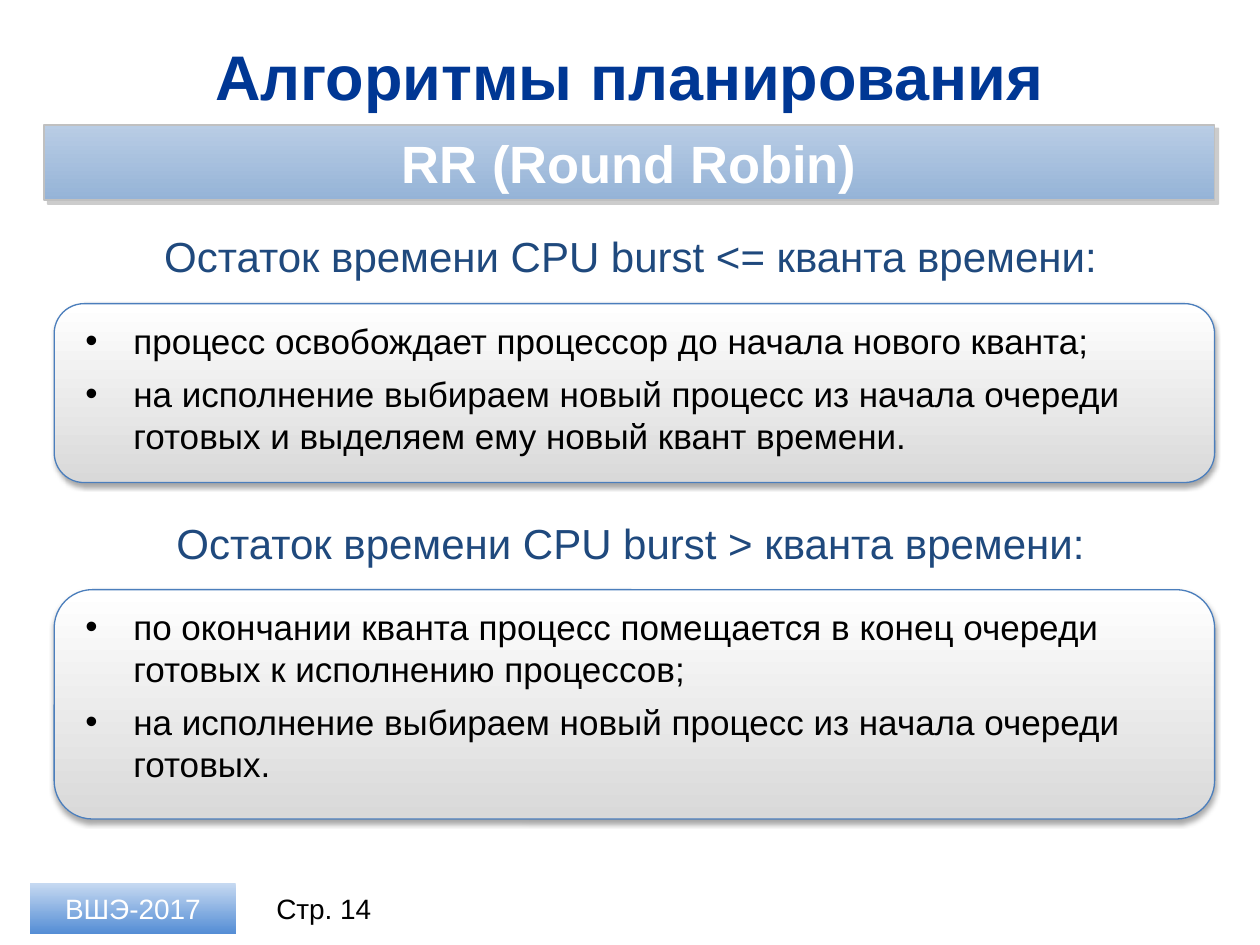
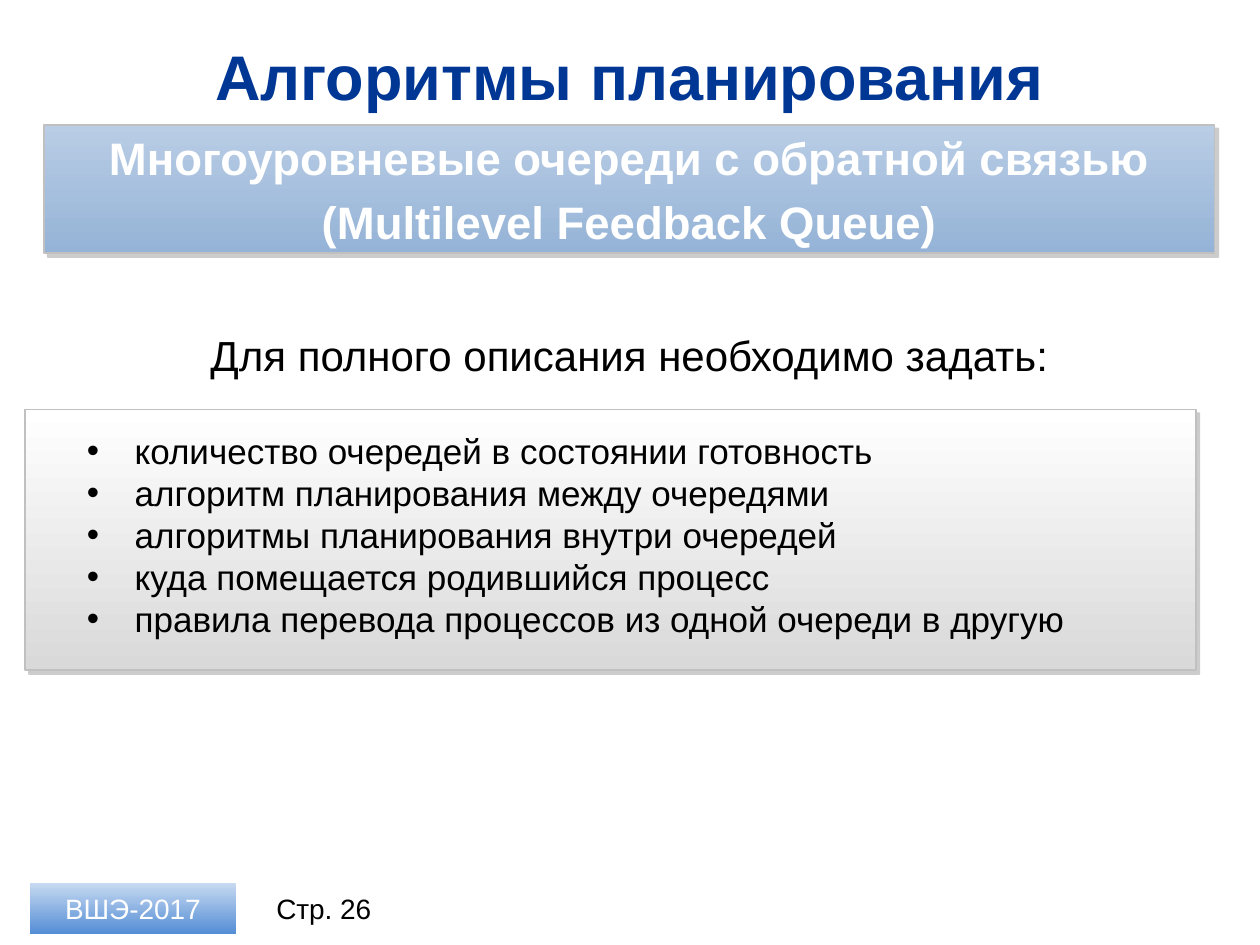
from lxml import etree
from pptx import Presentation
from pptx.dml.color import RGBColor
from pptx.enum.shapes import MSO_SHAPE
from pptx.enum.text import MSO_ANCHOR, PP_ALIGN
from pptx.oxml.ns import qn
from pptx.util import Inches, Pt

RECTANGLE, ROUNDED = MSO_SHAPE.RECTANGLE, MSO_SHAPE.ROUNDED_RECTANGLE
CENTER, LEFT = PP_ALIGN.CENTER, PP_ALIGN.LEFT
MIDDLE, TOP = MSO_ANCHOR.MIDDLE, MSO_ANCHOR.TOP

FONT = "Arial"
COLORS = {
    "title": "003794", "heading": "1F497D", "text": "000000", "white": "FFFFFF",
    "band_top": "B9CDE5", "band_bottom": "95B3D7",
    "footer_top": "C6D9F1", "footer_bottom": "558ED5",
    "panel_top": "FFFFFF", "panel_bottom": "D9D9D9",
    "gray_line": "C0C0C0", "blue_line": "4B7EBC",
    "hard_shadow": "808080", "soft_shadow": "000000",
}
# Gradient prefix, line colour and width, shadow (colour, opacity %, blur, distance, angle)
HARD_SHADOW = ("hard_shadow", 40, 0, 3, 45)
SOFT_SHADOW = ("soft_shadow", 35, 3.1, 1.8, 90)
STYLES = {
    "footer": ("footer", None, 0, None),
    "band": ("band", "gray_line", 1, HARD_SHADOW),
    "square": ("panel", "gray_line", 1, HARD_SHADOW),
    "round": ("panel", "blue_line", 0.75, SOFT_SHADOW),
}

presentation = Presentation()
presentation.slide_width, presentation.slide_height = Inches(10), Inches(7.5)
COLUMN = presentation.slide_width / 100
ROW = presentation.slide_height / 75


def add_box(slide, place, style=None, preset=RECTANGLE):
    """Add a styled gradient shape, or a plain text box without a style; place is in columns and rows."""
    left, top, width, height = place
    bounds = [round(length) for length in (left * COLUMN, top * ROW, width * COLUMN, height * ROW)]
    if style is None:
        return slide.shapes.add_textbox(*bounds)
    gradient, line_color, line_width, shadow = STYLES[style]
    shape = slide.shapes.add_shape(preset, *bounds)
    shape.fill.gradient()
    shape.fill.gradient_angle = 270
    for stop, edge in zip(shape.fill.gradient_stops, ("top", "bottom")):
        stop.color.rgb = RGBColor.from_string(COLORS[f"{gradient}_{edge}"])
    if line_color:
        shape.line.color.rgb = RGBColor.from_string(COLORS[line_color])
        shape.line.width = Pt(line_width)
    else:
        shape.line.fill.background()
    shape.shadow.inherit = False
    if shadow:
        color, opacity, blur, distance, angle = shadow
        effects = shape._element.spPr.find(qn("a:effectLst"))
        outer = etree.SubElement(effects, qn("a:outerShdw"), blurRad=str(Pt(blur)), dist=str(Pt(distance)),
                                 dir=str(angle * 60000), algn="tl", rotWithShape="0")
        shade = etree.SubElement(outer, qn("a:srgbClr"), val=COLORS[color])
        etree.SubElement(shade, qn("a:alpha"), val=str(opacity * 1000))
    return shape


def write_text(shape, lines, size, color, bold=False, anchor=TOP, bullets=False, before=0, after=0):
    text_frame = shape.text_frame
    text_frame.word_wrap = True
    text_frame.vertical_anchor = anchor
    text_frame.text = "\n".join(lines)
    for index, paragraph in enumerate(text_frame.paragraphs):
        paragraph.alignment = LEFT if bullets else CENTER
        paragraph.space_before = Pt(before if index else 0)
        paragraph.space_after = Pt(after)
        font = paragraph.runs[0].font
        font.name, font.size, font.bold = FONT, Pt(size), bold
        font.color.rgb = RGBColor.from_string(COLORS[color])
        if bullets:
            properties = paragraph._p.get_or_add_pPr()
            properties.set("marL", str(Inches(0.38)))
            properties.set("indent", str(-Inches(0.38)))
            etree.SubElement(properties, qn("a:buFont"), typeface=FONT)
            etree.SubElement(properties, qn("a:buChar"), char="•")


# Each section: heading, its place and colour; panel place, style and preset; list place, gap, items
SLIDES = [
    {
        "page": 14, "band": ["RR (Round Robin)"], "band_size": 30, "band_rows": 6,
        "sections": [
            ("Остаток времени CPU burst <= кванта времени:", (2.8, 17.8, 94.5, 5), "heading",
             (4.3, 24.1, 92.1, 14.2), "round", ROUNDED, (5.8, 24.9, 85.8, 11.9), 6,
             ["процесс освобождает процессор до начала нового кванта;",
              "на исполнение выбираем новый процесс из начала очереди готовых "
              "и выделяем ему новый квант времени."]),
            ("Остаток времени CPU burst > кванта времени:", (2.8, 40.6, 94.5, 5), "heading",
             (4.3, 46.8, 92.1, 18.2), "round", ROUNDED, (5.8, 47.6, 85.8, 15.3), 6,
             ["по окончании кванта процесс помещается в конец очереди "
              "готовых к исполнению процессов;",
              "на исполнение выбираем новый процесс из начала очереди готовых."]),
        ],
    },
    {
        "page": 26, "band_size": 26, "band_rows": 10.2,
        "band": ["Многоуровневые очереди с обратной связью", "(Multilevel Feedback Queue)"],
        "sections": [
            ("Для полного описания необходимо задать:", (10.6, 25.7, 78.7, 5), "text",
             (2, 32.5, 92.9, 20.7), "square", RECTANGLE, (5.9, 33.6, 88.2, 17.8), 0,
             ["количество очередей в состоянии готовность",
              "алгоритм планирования между очередями",
              "алгоритмы планирования внутри очередей",
              "куда помещается родившийся процесс",
              "правила перевода процессов из одной очереди в другую"]),
        ],
    },
]

for content in SLIDES:
    slide = presentation.slides.add_slide(presentation.slide_layouts[6])

    title = add_box(slide, (3.5, 2.6, 92.9, 6.8))
    write_text(title, ["Алгоритмы планирования"], 36, "title", bold=True, anchor=MIDDLE)
    page_number = add_box(slide, (20.3, 70.1, 10.8, 4))
    write_text(page_number, [f"Стр. {content['page']}"], 16, "text", anchor=MIDDLE)
    footer = add_box(slide, (2.4, 70.1, 16.3, 4), "footer")
    write_text(footer, ["ВШЭ-2017"], 16, "white", anchor=MIDDLE)

    band = add_box(slide, (3.5, 9.9, 92.9, content["band_rows"]), "band")
    band.text_frame.margin_left = band.text_frame.margin_right = Inches(0.24)
    band.text_frame.margin_top = band.text_frame.margin_bottom = Inches(0.04)
    size = content["band_size"]
    write_text(band, content["band"], size, "white", bold=True, anchor=MIDDLE, after=size / 5)

    for heading, heading_place, color, panel_place, style, preset, list_place, gap, items in content["sections"]:
        write_text(add_box(slide, heading_place), [heading], 24, color)
        add_box(slide, panel_place, style, preset)
        write_text(add_box(slide, list_place), items, 20, "text", bullets=True, before=gap)

presentation.save("out.pptx")
